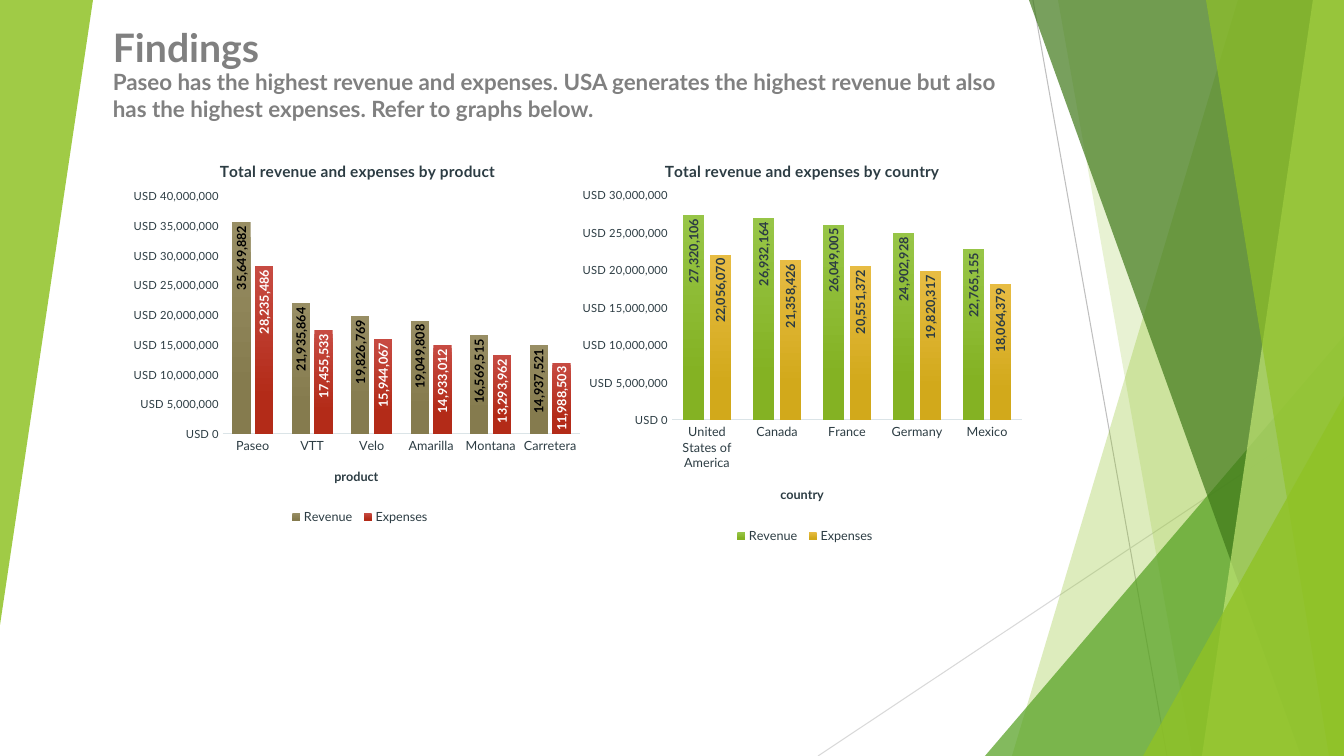
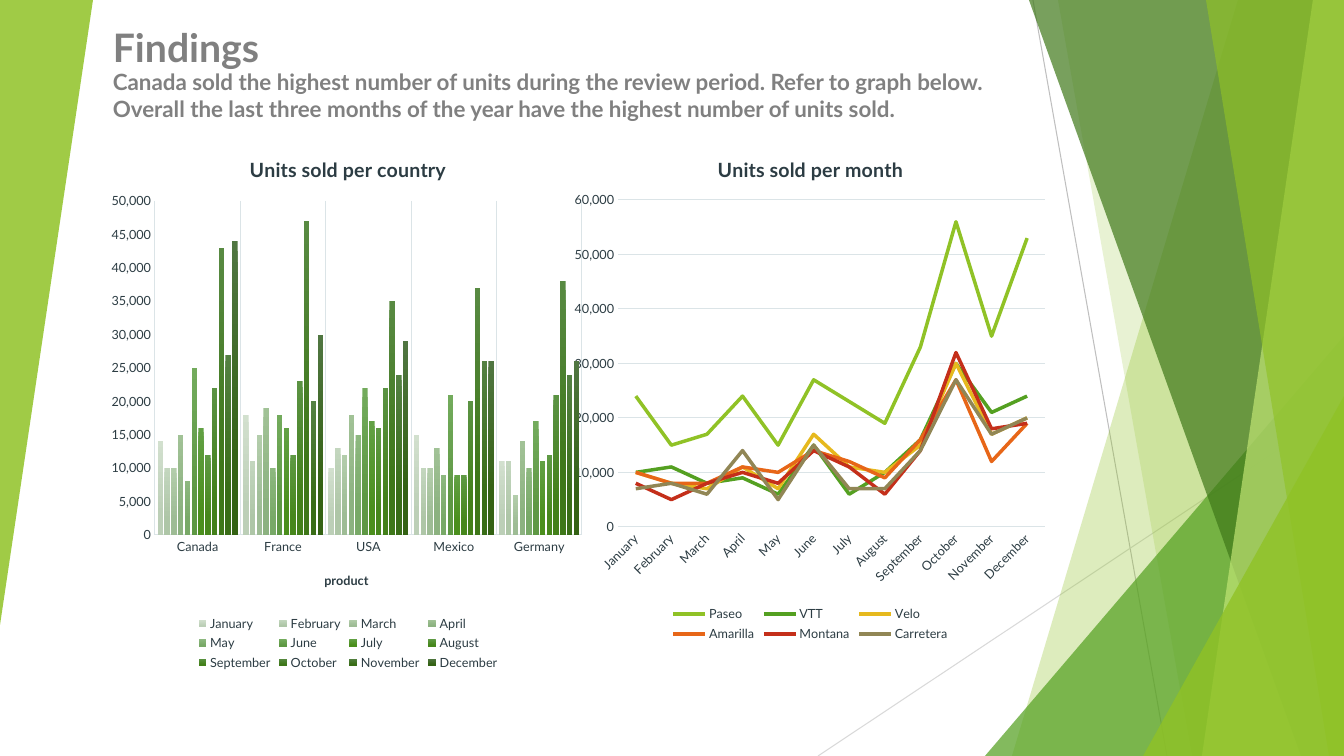
from lxml import etree
from pptx import Presentation
from pptx import util as u
from pptx.chart.data import CategoryChartData
from pptx.dml.color import RGBColor
from pptx.enum import chart as ch, shapes
from pptx.oxml import parse_xml
from pptx.oxml.ns import nsdecls, qn

SCALE = 914400 / 100.8
WIDTH, HEIGHT = 1344, 756
FONT = "Lato"
COLORS = {
    "lime": "90C226", "green": "54A021", "forest": "3F7819", "pale": "C0E474",
    "gray": "808080", "ink": "2C3C43", "grid": "DBE4E7", "black": "000000",
    "white": "FFFFFF", "rule": "BFBFBF", "faint": "D9D9D9",
    "gold": "E6B91E", "orange": "E76618", "red": "C42F1A", "khaki": "918655",
}
HEADING = {"size": u.Pt(28), "bold": True}
SUBTITLE = {"size": u.Pt(16), "bold": True}
SMALL = {"size": u.Pt(9), "bold": False}
TINY = {"size": u.Pt(8), "bold": False}
SMALL_BOLD = {"size": u.Pt(9), "bold": True}

DECOR = [
    ("band", (1238, 1012), "lime", 30),
    ("band", (1058, 1192), "lime", 20),
    ("triangle", (985, 336, 359, 420, 0), "green", 72),
    ("band", (1029, 1301), "forest", 70),
    ("band", (1313, 1202), "pale", 70),
    ("band", (1206, 1329), "lime", 65),
    ("triangle", (1143, 396, 201, 360, 0), "lime", 80),
    ("triangle", (0, 0, 93, 625, 180), "lime", 85),
]
RULES = [((1033, 0, 1167, 756), "rule"), ((1344, 406, 818, 756), "faint")]

MONTHS = ["January", "February", "March", "April", "May", "June", "July",
          "August", "September", "October", "November", "December"]
MONTH_FILLS = [
    ("D2E0CE", "BCCFB7"), ("C3D6BE", "AEC6A7"), ("B3CDAB", "9EBC95"),
    ("A1C296", "8CB280"), ("8DB87F", "78A967"), ("73AB5C", "5E9844"),
    ("62A144", "4B8F1D"), ("5F9A44", "47871C"), ("5B9343", "43801A"),
    ("588A42", "3E7719"), ("548142", "396D17"), ("507641", "346214"),
]
COUNTRY_UNITS = [
    [14, 18, 10, 15, 11], [10, 11, 13, 10, 11], [10, 15, 12, 10, 6],
    [15, 19, 18, 13, 14], [8, 10, 15, 9, 10], [25, 18, 22, 21, 17],
    [16, 16, 17, 9, 11], [12, 12, 16, 9, 12], [22, 23, 22, 20, 21],
    [43, 47, 35, 37, 38], [27, 20, 24, 26, 24], [44, 30, 29, 26, 26],
]
PRODUCT_UNITS = {
    "Paseo": [24, 15, 17, 24, 15, 27, 23, 19, 33, 56, 35, 53],
    "VTT": [10, 11, 8, 9, 6, 15, 6, 10, 16, 30, 21, 24],
    "Velo": [10, 8, 7, 11, 7, 17, 11, 10, 15, 30, 17, 20],
    "Amarilla": [10, 8, 8, 11, 10, 14, 12, 9, 16, 27, 12, 19],
    "Montana": [8, 5, 8, 10, 8, 14, 11, 6, 14, 32, 18, 19],
    "Carretera": [7, 8, 6, 14, 5, 15, 7, 7, 14, 27, 17, 20],
}
LINE_COLORS = ["lime", "green", "gold", "orange", "red", "khaki"]


def px(n):
    return u.Emu(round(n * SCALE))


def rgb(color):
    return RGBColor.from_string(COLORS.get(color, color))


def assign(obj, values):
    for name, value in values.items():
        setattr(obj, name, value)


def style(font, values, color):
    assign(font, {"name": FONT, **values})
    font.color.rgb = rgb(color)


def paint(sp, color, opacity):
    sp.shadow.inherit = False
    sp.line.fill.background()
    sp.fill.solid()
    sp.fill.fore_color.rgb = rgb(color)
    clr = sp._element.spPr.find(".//" + qn("a:srgbClr"))
    etree.SubElement(clr, qn("a:alpha")).set("val", str(opacity * 1000))


def add_band(s, box, top_x, bottom_x):
    x, y, w, h = box
    points = [(x + w, y), (x + w, y + h), (x + bottom_x, y + h)]
    fb = s.shapes.build_freeform(px(x + top_x), px(y))
    fb.add_line_segments([(px(a), px(b)) for a, b in points], close=True)
    return fb.convert_to_shape()


def add_triangle(s, box, left, top, w, h, rotation):
    sp = s.shapes.add_shape(shapes.MSO_SHAPE.ISOSCELES_TRIANGLE,
                            px(box[0] + left), px(box[1] + top), px(w), px(h))
    sp.adjustments[0] = 1
    sp.rotation = rotation
    return sp


def add_decor(s, box):
    x, y = box[:2]
    for (x1, y1, x2, y2), color in RULES:
        c = s.shapes.add_connector(shapes.MSO_CONNECTOR.STRAIGHT,
                                   px(x + x1), px(y + y1), px(x + x2), px(y + y2))
        c.line.color.rgb = rgb(color)
        c.line.width = u.Pt(0.75)
        etree.SubElement(c._element.spPr, qn("a:effectLst"))
    makers = {"band": add_band, "triangle": add_triangle}
    for kind, geometry, color, opacity in DECOR:
        paint(makers[kind](s, box, *geometry), color, opacity)


def add_text(s, box, text, values):
    tf = s.shapes.add_textbox(*map(px, box)).text_frame
    tf.word_wrap = True
    r = tf.paragraphs[0].add_run()
    r.text = text
    style(r.font, values, "gray")


def add_header(s, box, subtitle):
    x, y, w, h = box
    add_text(s, (x, y + 45, w, h - 45), subtitle, SUBTITLE)
    add_text(s, (x, y, w, 54), "Findings", HEADING)


def set_layout(el, size, place, inner=False):
    for old in el.findall(qn("c:layout")):
        el.remove(old)
    layout = etree.Element(qn("c:layout"))
    manual = etree.SubElement(layout, qn("c:manualLayout"))
    items = [("layoutTarget", "inner")] if inner else []
    items += [("xMode", "edge"), ("yMode", "edge")]
    items += [(k, f"{v / n:.4f}") for k, v, n in zip("xywh", place, size * 2)]
    for tag, value in items:
        etree.SubElement(manual, qn("c:" + tag)).set("val", value)
    before = [i for i, child in enumerate(el)
              if child.tag in (qn("c:tx"), qn("c:legendPos"))]
    el.insert(before[0] + 1 if before else 0, layout)


def set_title(owner, title, text, size, place, values):
    tf = title.text_frame
    tf.text = text
    style(tf.paragraphs[0].runs[0].font, values, "ink")
    set_layout(title._element, size, place)


def turn_text(el, angle):
    body = el.find(qn("c:txPr")).find(qn("a:bodyPr"))
    body.set("rot", str(angle * 60000))
    body.set("vert", "horz")


def style_axis(axis, values, grid):
    assign(axis, {"major_tick_mark": ch.XL_TICK_MARK.NONE,
                  "minor_tick_mark": ch.XL_TICK_MARK.NONE,
                  "has_major_gridlines": grid})
    style(axis.tick_labels.font, values, "ink")
    lines = [axis.format.line]
    if grid:
        lines.append(axis.major_gridlines.format.line)
    for line in lines:
        line.color.rgb = rgb("grid")
        line.width = u.Pt(0.75)


def add_chart(s, box, kind, cats, series, title, title_pt, plot, legend, top,
              step, number_format, value_font=SMALL, cat_title=None, grids=(False, False)):
    size = box[2:]
    data = CategoryChartData()
    data.categories = cats
    for name, values in series:
        data.add_series(name, values)
    chart = s.shapes.add_chart(kind, *map(px, box), data).chart
    style(chart.font, {"size": u.Pt(10)}, "black")
    root = chart._chartSpace
    root.find(qn("c:chart")).addnext(parse_xml(
        f'<c:spPr {nsdecls("c", "a")}><a:noFill/><a:ln><a:noFill/></a:ln></c:spPr>'))

    set_title(chart, chart.chart_title, title[0], size, title[1],
              {"size": u.Pt(title_pt), "bold": True})
    set_layout(root.find(".//" + qn("c:plotArea")), size, plot, inner=True)
    assign(chart, {"has_legend": True})
    assign(chart.legend, {"position": ch.XL_LEGEND_POSITION.BOTTOM,
                          "include_in_layout": False})
    style(chart.legend.font, SMALL, "ink")
    set_layout(chart.legend._element, size, legend)

    cat, val = chart.category_axis, chart.value_axis
    style_axis(cat, SMALL, grids[0])
    style_axis(val, value_font, grids[1])
    val.format.line.fill.background()
    assign(val, {"minimum_scale": 0, "maximum_scale": top, "major_unit": step})
    assign(val.tick_labels, {"number_format": number_format,
                             "number_format_is_linked": False})
    if cat_title:
        set_title(cat, cat.axis_title, cat_title[0], size, cat_title[1], SMALL_BOLD)
    chart.plots[0].vary_by_categories = False
    return chart


def add_columns(s, box, cats, series, fills, label_colors=(), **options):
    chart = add_chart(s, box, ch.XL_CHART_TYPE.COLUMN_CLUSTERED, cats, series, **options)
    plot = chart.plots[0]
    assign(plot, {"gap_width": 100, "overlap": -24})
    for ser, colors in zip(plot.series, fills):
        ser.invert_if_negative = False
        fill = ser.format.fill
        fill.gradient()
        fill.gradient_angle = 270
        for stop, color, position in zip(fill.gradient_stops, colors, (0, 0.78)):
            stop.color.rgb = rgb(color)
            stop.position = position
    for ser, color in zip(plot.series, label_colors):
        labels = ser.data_labels
        assign(labels, {"show_value": True, "number_format": "#,##0",
                        "number_format_is_linked": False,
                        "position": ch.XL_LABEL_POSITION.INSIDE_END})
        style(labels.font, SMALL_BOLD, color)
        turn_text(labels._element, -90)


def add_lines(s, box, cats, series, colors, **options):
    chart = add_chart(s, box, ch.XL_CHART_TYPE.LINE, cats, series, **options)
    turn_text(chart.category_axis._element, -45)
    for ser, color in zip(chart.plots[0].series, colors):
        ser.smooth = False
        ser.marker.style = ch.XL_MARKER_STYLE.NONE
        ser.format.line.color.rgb = rgb(color)
        ser.format.line.width = u.Pt(2.5)


def thousands(values):
    return [v * 1000 for v in values]


def findings_slide(prs, subtitle):
    s = prs.slides.add_slide(prs.slide_layouts[6])
    add_decor(s, (0, 0, WIDTH, HEIGHT))
    add_header(s, (103, 18, 941, 551), subtitle)
    return s


def money_slide(prs):
    s = findings_slide(prs, "Paseo has the highest revenue and expenses. USA generates the "
                       "highest revenue but also has the highest expenses. Refer to graphs below.")
    money = {"title_pt": 11, "step": 5000000, "value_font": TINY,
             "number_format": "[$USD]\\ #,##0"}
    add_columns(
        s, (125, 138, 466, 393), list(PRODUCT_UNITS),
        [("Revenue", [35649882, 21935864, 19826769, 19049808, 16569515, 14937521]),
         ("Expenses", [28235486, 17455533, 15944067, 14933012, 13293962, 11988503])],
        [("988E64", "857B4E"), ("C74B42", "B32B18")], ("black", "white"),
        title=("Total revenue and expenses by product", (92, 19)),
        cat_title=("product", (207, 327)), plot=(98, 58, 357, 238),
        legend=(160, 371, 150, 22), top=40000000, **money)
    add_columns(
        s, (574, 138, 458, 412),
        ["United States of America", "Canada", "France", "Germany", "Mexico"],
        [("Revenue", [27320106, 26932164, 26049005, 24902928, 22765155]),
         ("Expenses", [22056070, 21358426, 20551372, 19820317, 18064379])],
        [("97C547", "84B223"), ("E7BC43", "D2A91B")], ("ink", "ink"),
        title=("Total revenue and expenses by country", (88, 19)),
        cat_title=("country", (204, 345)), plot=(98, 57, 350, 225),
        legend=(156, 390, 150, 22), top=30000000, **money)


def units_slide(prs):
    s = findings_slide(prs, "Canada sold the highest number of units during the review period. "
                       "Refer to graph below. Overall the last three months of the year have "
                       "the highest number of units sold.")
    units = {"title_pt": 14, "number_format": "#,##0"}
    add_lines(
        s, (564, 130, 491, 516), MONTHS,
        [(name, thousands(v)) for name, v in PRODUCT_UNITS.items()], LINE_COLORS,
        title=("Units sold per month", (150, 22)), plot=(54, 70, 427, 327),
        legend=(104, 472, 285, 44), top=60000, step=10000, grids=(False, True), **units)
    add_columns(
        s, (103, 130, 489, 546), ["Canada", "France", "USA", "Mexico", "Germany"],
        [(name, thousands(v)) for name, v in zip(MONTHS, COUNTRY_UNITS)], MONTH_FILLS,
        title=("Units sold per country", (143, 22)), cat_title=("product", (219, 439)),
        plot=(52, 71, 427, 334), legend=(91, 482, 308, 62), top=50000, step=5000,
        grids=(True, False), **units)


def main():
    prs = Presentation()
    assign(prs, {"slide_width": px(WIDTH), "slide_height": px(HEIGHT)})
    money_slide(prs)
    units_slide(prs)
    prs.save("out.pptx")


if __name__ == "__main__":
    main()
